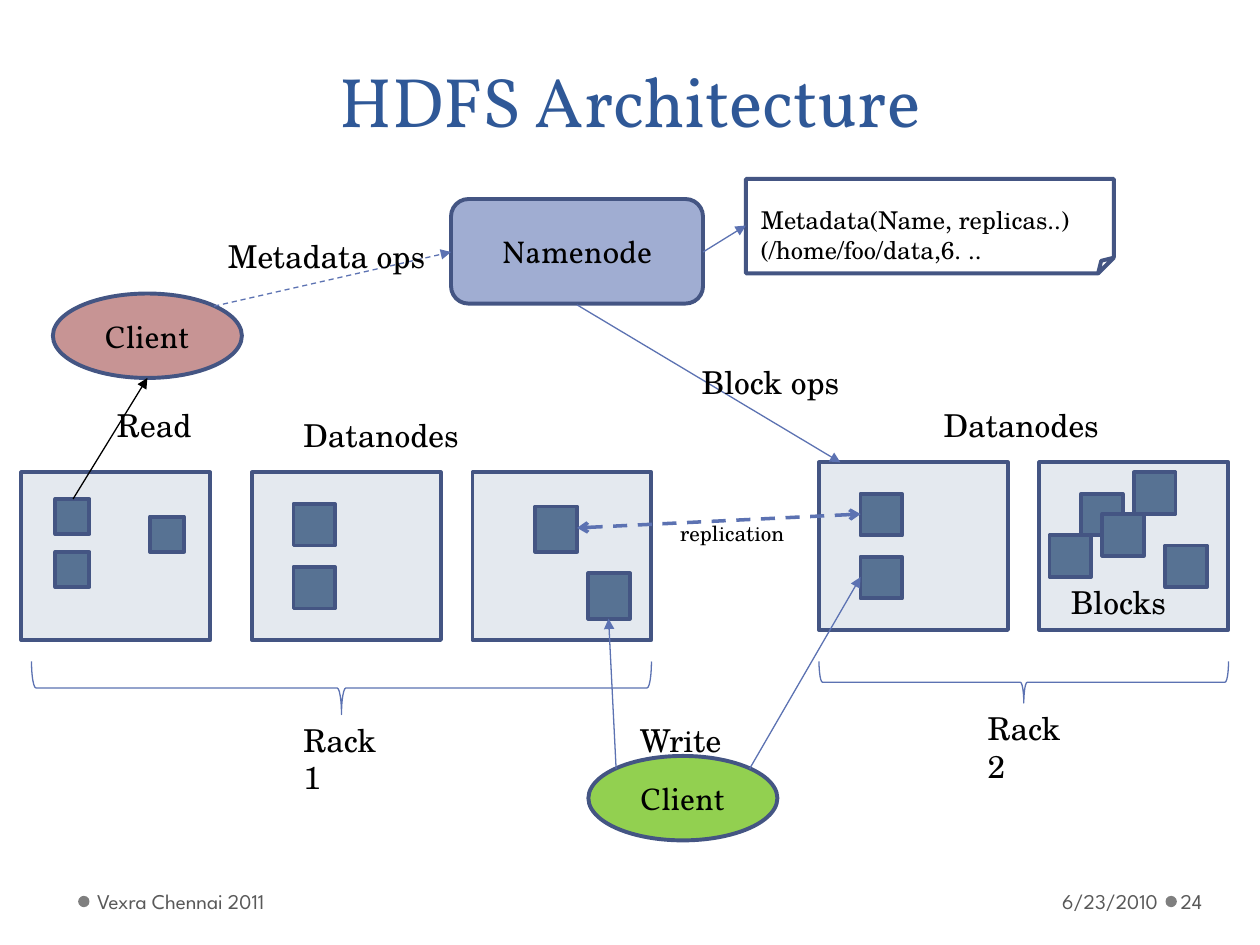
from lxml import etree
from pptx import Presentation
from pptx import util as u
from pptx.dml.color import RGBColor
from pptx.enum import dml, shapes, text
from pptx.oxml.ns import qn

G = shapes.MSO_SHAPE
COLORS = {
    "title": "2F5897", "black": "000000", "footer": "595959", "dot": "7F7F7F",
    "edge": "445583", "arrow": "5C72B2", "node": "E4E9EF", "block": "577293",
    "name": "A0ADD2", "reader": "C79494", "writer": "92D050",
}
STYLES = {
    "title": {"size": u.Pt(40), "name": "Vollkorn", "color": "title"},
    "shape": {"size": u.Pt(18), "name": "Vollkorn", "color": "black"},
    "label": {"size": u.Pt(18), "name": "TeX Gyre Schola", "color": "black"},
    "note": {"size": u.Pt(14), "name": "TeX Gyre Schola", "color": "black"},
    "small": {"size": u.Pt(12), "name": "TeX Gyre Schola", "color": "black"},
    "footer": {"size": u.Pt(12), "name": "League Spartan", "color": "footer"},
}

DATANODES = [
    (0.17, 3.75, 1.5, 0.27, 0.28, [(0.44, 3.96), (0.44, 4.38), (1.19, 4.1)]),
    (2, 3.75, 1.5, 0.33, 0.33, [(2.33, 4), (2.33, 4.5)]),
    (3.75, 3.75, 1.42, 0.33, 0.36, [(4.25, 4.02), (4.67, 4.55)]),
    (6.5, 3.67, 1.5, 0.33, 0.33, [(6.83, 3.92), (6.83, 4.42)]),
    (8.25, 3.67, 1.5, 0.33, 0.33,
     [(8.58, 3.92), (8.33, 4.25), (8.75, 4.08), (9.25, 4.33), (9, 3.75)]),
]
ACTORS = [
    ("Namenode", G.ROUNDED_RECTANGLE, (3.58, 1.58, 2, 0.83), "name"),
    ("Client", G.OVAL, (0.42, 2.33, 1.5, 0.67), "reader"),
    ("Client", G.OVAL, (4.67, 6, 1.5, 0.67), "writer"),
]
BRACES = [(0.25, 5.25, 4.92, 0.42), (6.5, 5.25, 3.25, 0.33)]
DOTS = [(0.62, 7.11), (9.25, 7.11)]
ARROWS = [
    ((4.58, 4.19), (6.83, 4.08), "arrow", 2, True, "arrow", "arrow"),
    ((4.89, 6.1), (4.83, 4.91), "arrow", 0.75, False, None, "triangle"),
    ((5.95, 6.1), (6.83, 4.58), "arrow", 0.75, False, None, "triangle"),
    ((0.58, 3.96), (1.17, 3), "black", 0.75, False, None, "triangle"),
    ((1.7, 2.43), (3.58, 2), "arrow", 0.75, True, None, "triangle"),
    ((5.58, 2), (5.92, 1.79), "arrow", 0.75, False, None, "triangle"),
    ((4.58, 2.42), (6.67, 3.67), "arrow", 0.75, False, None, "triangle"),
]
LABELS = [
    ("replication", (5.3, 4.08, 1.06, 0.3), "small"),
    ("Rack\v1", (2.31, 5.67, 0.91, 0.7), "label"),
    ("Rack\v2", (7.74, 5.58, 0.91, 0.7), "label"),
    ("Blocks", (8.4, 4.58, 0.96, 0.4), "label"),
    ("Datanodes", (2.31, 3.25, 1.45, 0.4), "label"),
    ("Datanodes", (7.39, 3.17, 1.45, 0.4), "label"),
    ("Write", (4.98, 5.67, 0.88, 0.4), "label"),
    ("Read", (0.83, 3.17, 0.79, 0.4), "label"),
    ("Metadata ops", (1.71, 1.83, 1.79, 0.4), "label"),
    ("Metadata(Name, replicas..)\n(/home/foo/data,6. ..", (5.94, 1.58, 2.68, 0.57), "note"),
    ("Block ops", (5.47, 2.83, 1.33, 0.4), "label"),
]
FOOTERS = [
    ("6/23/2010", (6.96, 6.95, 2.28, 0.4), "RIGHT", 0.1, 0.05),
    ("Vexra Chennai 2011", (0.72, 6.95, 3.11, 0.4), "LEFT", 0.05, 0.1),
    ("24", (9.34, 6.95, 0.61, 0.4), "LEFT", 0.03, 0.05),
]


def cm(inches):
    return u.Cm(inches * 2.54)


def rgb(name):
    return RGBColor.from_string(COLORS[name])


def write(sp, words, style, align="LEFT", anchor="TOP", left=0.1, right=0.1):
    tf = sp.text_frame
    frame = {"word_wrap": True, "vertical_anchor": getattr(text.MSO_ANCHOR, anchor),
             "margin_left": cm(left), "margin_right": cm(right),
             "margin_top": cm(0.05), "margin_bottom": cm(0.05)}
    for key, value in frame.items():
        setattr(tf, key, value)
    tf.text = words
    for p in tf.paragraphs:
        p.alignment = getattr(text.PP_ALIGN, align)
        for r in p.runs:
            for key, value in STYLES[style].items():
                if key == "color":
                    r.font.color.rgb = rgb(value)
                else:
                    setattr(r.font, key, value)
    return tf


def add_text(s, words, box, style, **options):
    return write(s.shapes.add_textbox(*map(cm, box)), words, style, **options)


def add_shape(s, kind, box, fill=None, line="edge", width=2.25):
    sp = s.shapes.add_shape(kind, *map(cm, box))
    sp.shadow.inherit = False
    if fill:
        sp.fill.solid()
        sp.fill.fore_color.rgb = rgb(fill)
    else:
        sp.fill.background()
    if line:
        sp.line.color.rgb = rgb(line)
        sp.line.width = u.Pt(width)
    else:
        sp.line.fill.background()
    return sp


def add_arrow(s, start, end, color, width, dashed, head, tail):
    c = s.shapes.add_connector(shapes.MSO_CONNECTOR.STRAIGHT, *map(cm, start + end))
    c.line.color.rgb = rgb(color)
    c.line.width = u.Pt(width)
    if dashed:
        c.line.dash_style = dml.MSO_LINE.DASH
    ln = c.line._get_or_add_ln()
    for tag, kind in (("a:headEnd", head), ("a:tailEnd", tail)):
        if kind:
            etree.SubElement(ln, qn(tag), type=kind)
    etree.SubElement(c._element.spPr, qn("a:effectLst"))


def main():
    prs = Presentation()
    prs.slide_width, prs.slide_height = cm(10), cm(7.5)
    s = prs.slides.add_slide(prs.slide_layouts[6])

    for x, y in DOTS:
        add_shape(s, G.OVAL, (x, y, 0.09, 0.09), "dot", None)
    tf = add_text(s, "HDFS Architecture", (0.5, 0, 9, 1.17), "title",
                  align="CENTER", anchor="BOTTOM")
    tf.paragraphs[0].line_spacing = u.Pt(58)

    for x, y, w, block_w, block_h, blocks in DATANODES:
        add_shape(s, G.RECTANGLE, (x, y, w, 1.33), "node")
        for bx, by in blocks:
            add_shape(s, G.RECTANGLE, (bx, by, block_w, block_h), "block")
    for words, kind, box, fill in ACTORS:
        write(add_shape(s, kind, box, fill), words, "shape", "CENTER", "MIDDLE")
    add_shape(s, G.FOLDED_CORNER, (5.92, 1.42, 2.92, 0.75))
    for x, y, w, h in BRACES:
        upright = (x + (w - h) / 2, y + (h - w) / 2, h, w)
        add_shape(s, G.RIGHT_BRACE, upright, None, "arrow", 0.75).rotation = 90

    for arrow in ARROWS:
        add_arrow(s, *arrow)
    for words, box, style in LABELS:
        add_text(s, words, box, style, right=0)
    for words, box, align, left, right in FOOTERS:
        add_text(s, words, box, "footer", align=align, anchor="MIDDLE",
                 left=left, right=right)
    prs.save("out.pptx")


if __name__ == "__main__":
    main()
